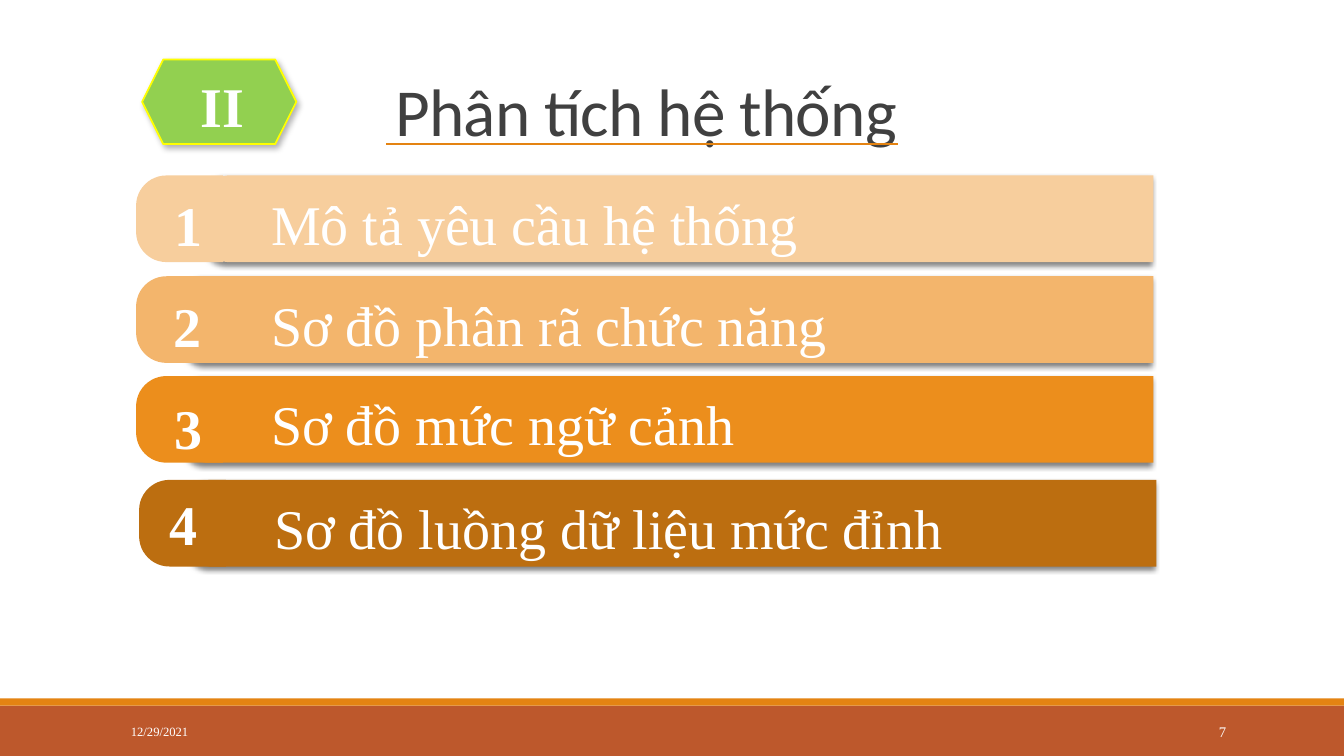
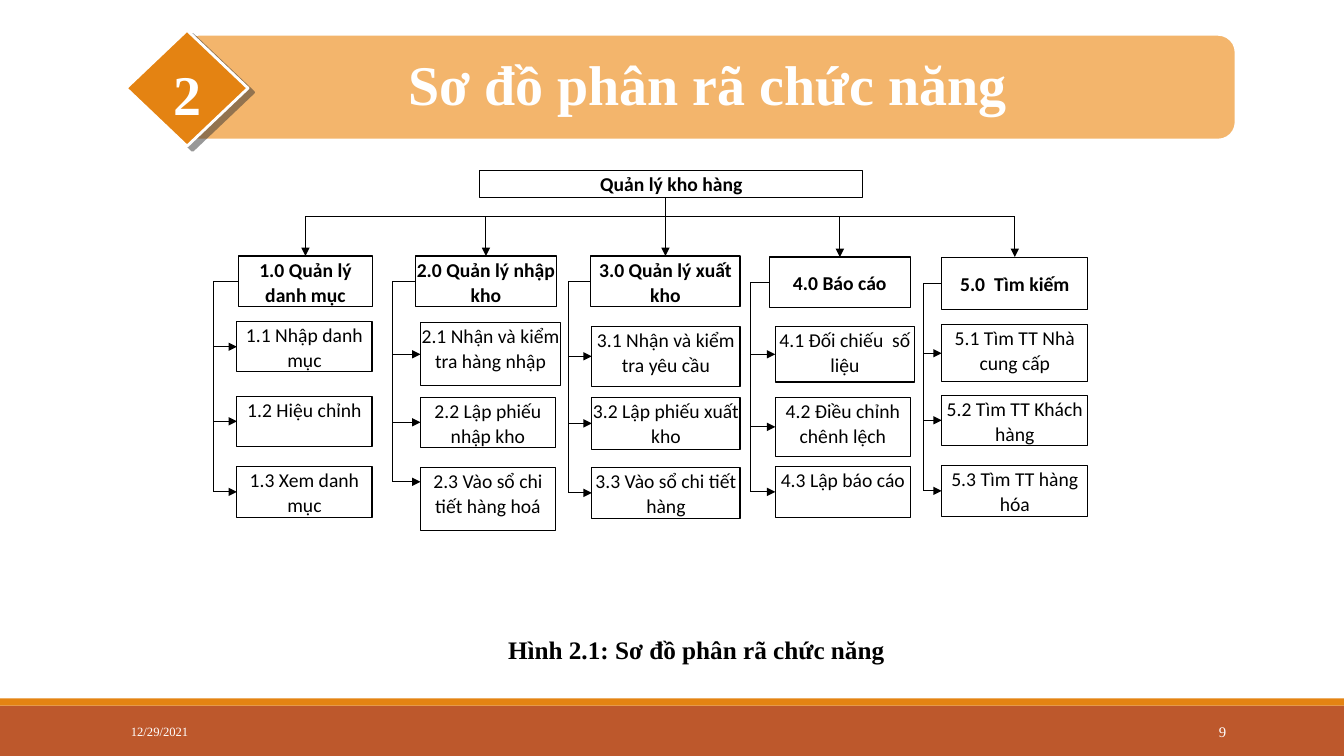
from dataclasses import dataclass

from lxml import etree
from pptx import Presentation
from pptx.dml.color import RGBColor
from pptx.enum.shapes import MSO_CONNECTOR, MSO_SHAPE
from pptx.enum.text import MSO_ANCHOR, MSO_AUTO_SIZE, PP_ALIGN
from pptx.oxml.ns import qn
from pptx.util import Inches, Pt

RECT, ROUND_RECT = MSO_SHAPE.RECTANGLE, MSO_SHAPE.ROUNDED_RECTANGLE
HEXAGON, DIAMOND = MSO_SHAPE.HEXAGON, MSO_SHAPE.DIAMOND
ROUND_TOP = MSO_SHAPE.ROUND_2_SAME_RECTANGLE
STRAIGHT = MSO_CONNECTOR.STRAIGHT
LEFT, CENTER, RIGHT = PP_ALIGN.LEFT, PP_ALIGN.CENTER, PP_ALIGN.RIGHT
TOP, MIDDLE, BOTTOM = MSO_ANCHOR.TOP, MSO_ANCHOR.MIDDLE, MSO_ANCHOR.BOTTOM
TOP_SIDE, LEFT_SIDE = 0, 1
TITLE_ONLY = 5


@dataclass(frozen=True)
class Theme:
    serif: str = "Times New Roman"
    sans: str = "Calibri"
    white: str = "FFFFFF"
    black: str = "000000"
    title: str = "404040"
    rust: str = "BD582C"
    orange: str = "E48312"
    green: str = "92D050"
    yellow: str = "FFFF00"
    tints: tuple = ("F7CE9D", "F3B56C", "EC8E1C", "BC6E10")
    title_size: float = 48
    heading_size: float = 40
    caption_size: float = 18
    node_size: float = 14
    page_size: float = 10.5
    date_size: float = 9


T = Theme()
HEADING = dict(size=T.heading_size, name=T.serif, color=T.white)
HEADING_BOLD = dict(HEADING, bold=True)
NODE = dict(size=T.node_size, name=T.sans, color=T.black)
# Shadow: colour, opacity %, blur pt, distance pt, direction in degrees
BAR_SHADOW = (T.black, 50, 4, 3, 135)
HEXAGON_SHADOW = (T.black, 30, 4.5, 2.6, 53)
DIAMOND_SHADOW = ("333333", 50, 0, 5, 37)


@dataclass
class Leaf:
    text: str
    top: float
    height: float = 0.5
    width: float = None
    arrow: float = None


@dataclass
class Branch:
    spine: float
    head: str
    head_box: tuple  # offset from the spine, top, width, height
    leaf_dx: float
    leaf_w: float
    leaves: list


# ---------- Shared helpers ----------
def write(tf, text, font, align=LEFT, anchor=TOP, spacing=None, margin=None, wrap=True):
    tf.word_wrap, tf.auto_size, tf.vertical_anchor = wrap, MSO_AUTO_SIZE.NONE, anchor
    if margin is not None:
        for side in ("left", "top", "right", "bottom"):
            setattr(tf, f"margin_{side}", Inches(margin))
    p = tf.paragraphs[0]
    p.alignment = align
    if spacing:
        p.line_spacing = spacing
    r = p.add_run()
    r.text = text
    for key, value in font.items():
        if key == "color":
            r.font.color.rgb = RGBColor.from_string(value)
        else:
            setattr(r.font, key, Pt(value) if key == "size" else value)
    return r


def add_text(s, box, text, font, **layout):
    sp = s.shapes.add_textbox(*map(Inches, box))
    write(sp.text_frame, text, font, **layout)


def add_shape(s, kind, box, fill, line=None, width=1, adjust=None, shadow=None):
    sp = s.shapes.add_shape(kind, *map(Inches, box))
    sp.fill.solid()
    sp.fill.fore_color.rgb = RGBColor.from_string(fill)
    if line:
        sp.line.color.rgb = RGBColor.from_string(line)
        sp.line.width = Pt(width)
    else:
        sp.line.fill.background()
    if adjust is not None:
        sp.adjustments[0] = adjust
    sp.shadow.inherit = False
    if shadow:
        color, opacity, blur, dist, angle = shadow
        effects = sp._element.spPr.find(qn("a:effectLst"))
        outer = etree.SubElement(effects, qn("a:outerShdw"), blurRad=str(Pt(blur)),
                                 dist=str(Pt(dist)), dir=str(angle * 60000),
                                 algn="ctr", rotWithShape="0")
        clr = etree.SubElement(outer, qn("a:srgbClr"), val=color)
        etree.SubElement(clr, qn("a:alpha"), val=str(opacity * 1000))
    return sp


def add_left_rounded(s, box, fill, adjust, shadow=None):
    """Bar with rounded left corners: an upright shape turned about its centre."""
    x, y, w, h = box
    upright = (x + (w - h) / 2, y + (h - w) / 2, h, w)
    sp = add_shape(s, ROUND_TOP, upright, fill, adjust=adjust, shadow=shadow)
    sp.rotation = 270


def add_line(s, start, end, color=T.black, width=0.75, arrow=False, glue=None):
    c = s.shapes.add_connector(STRAIGHT, *map(Inches, (*start, *end)))
    c.line.color.rgb = RGBColor.from_string(color)
    c.line.width = Pt(width)
    spPr = c._element.spPr
    if arrow:
        etree.SubElement(spPr.find(qn("a:ln")), qn("a:tailEnd"), type="triangle")
    etree.SubElement(spPr, qn("a:effectLst"))
    if glue:
        c.end_connect(*glue)


def set_title(s, box, text, font, **layout):
    sp = s.shapes.title
    sp.left, sp.top, sp.width, sp.height = map(Inches, box)
    s.shapes._spTree.append(sp._element)  # in front of any banner
    return write(sp.text_frame, text, font, **layout)


def new_slide(prs, page):
    s = prs.slides.add_slide(prs.slide_layouts[TITLE_ONLY])
    # Footer bands, date and page number
    add_shape(s, RECT, (0, 7, 13.33, 0.5), T.rust)
    add_shape(s, RECT, (0, 6.93, 13.33, 0.07), T.orange)
    footer = dict(name=T.serif, color=T.white)
    add_text(s, (1.2, 7.06, 2.7, 0.4), "12/29/2021",
             dict(footer, size=T.date_size), anchor=MIDDLE)
    add_text(s, (10.83, 7.06, 1.43, 0.4), page,
             dict(footer, size=T.page_size), align=RIGHT, anchor=MIDDLE)
    return s


# ---------- Agenda slide ----------
def agenda_row(s, x, y, bar_dx, number, number_at, text, fill):
    size, right = 0.86, 10.09
    add_left_rounded(s, (x + bar_dx, y, right - bar_dx, size), fill, 0.23, BAR_SHADOW)
    add_left_rounded(s, (x, y, size, size), fill, 0.35)
    add_text(s, (x + 1.24, y + 0.09, 8.65, 0.77), text, HEADING)
    dx, dy = number_at
    add_text(s, (x + dx, y + dy, 0.85, 0.77), number, HEADING_BOLD,
             align=CENTER, anchor=MIDDLE)


def agenda_slide(prs):
    s = new_slide(prs, "7")
    # Title with section badge and underline
    r = set_title(s, (3.82, 0.29, 9, 1.25), "Phân tích hệ thống",
                  dict(size=T.title_size, name=T.sans, color=T.title),
                  anchor=BOTTOM, spacing=0.85)
    r.font._element.set("spc", "-50")
    add_shape(s, HEXAGON, (1.41, 0.59, 1.53, 0.84), T.green, T.yellow, 1.25,
              shadow=HEXAGON_SHADOW)
    add_text(s, (1.78, 0.66, 0.85, 0.77), "II", HEADING_BOLD, align=CENTER, anchor=MIDDLE)
    # Agenda rows
    rows = [
        (1.35, 1.74, 0.71, (0.09, 0.1), "Mô tả yêu cầu hệ thống"),
        (1.35, 2.74, 0.5, (0.08, 0.1), "Sơ đồ phân rã chức năng"),
        (1.35, 3.73, 0.5, (0.09, 0.12), "Sơ đồ mức ngữ cảnh"),
        (1.38, 4.76, 0.5, (0.01, 0.04), "Sơ đồ luồng dữ liệu mức đỉnh"),
    ]
    for i, (x, y, bar_dx, number_at, text) in enumerate(rows):
        agenda_row(s, x, y, bar_dx, str(i + 1), number_at, text, T.tints[i])
    add_line(s, (3.83, 1.43), (8.91, 1.43), T.orange, 1.5)


# ---------- Function tree slide ----------
BRANCHES = [
    Branch(0, "1.0 Quản lý danh mục", (0.25, 0.85, 1.32, 0.5), 0.23, 1.34, [
        Leaf("1.1 Nhập danh mục", 1.5),
        Leaf("1.2 Hiệu chỉnh", 2.24),
        Leaf("1.3 Xem danh mục", 2.94)]),
    Branch(1.77, "2.0 Quản lý nhập kho", (0.23, 0.85, 1.4, 0.5), 0.28, 1.34, [
        Leaf("2.1 Nhận và kiểm tra hàng nhập", 1.51, 0.63, width=1.39),
        Leaf("2.2 Lập phiếu nhập kho", 2.25),
        Leaf("2.3 Vào sổ chi tiết hàng hoá", 2.95, 0.62, arrow=3.09)]),
    Branch(3.52, "3.0 Quản lý xuất kho", (0.22, 0.85, 1.48, 0.5), 0.23, 1.47, [
        Leaf("3.1 Nhận và kiểm tra yêu cầu", 1.55, 0.59),
        Leaf("3.2 Lập phiếu xuất kho", 2.25, 0.52),
        Leaf("3.3 Vào sổ chi tiết hàng", 2.95)]),
    Branch(5.32, "4.0 Báo cáo", (0.19, 0.86, 1.4, 0.5), 0.25, 1.34, [
        Leaf("4.1 Đối chiếu  số liệu", 1.55, 0.55, width=1.38),
        Leaf("4.2 Điều chỉnh chênh lệch", 2.25, 0.59),
        Leaf("4.3 Lập báo cáo", 2.94)]),
    Branch(7.04, "5.0  Tìm kiếm", (0.18, 0.86, 1.45, 0.52), 0.18, 1.45, [
        Leaf("5.1 Tìm TT Nhà cung cấp", 1.53, 0.57),
        Leaf("5.2 Tìm TT Khách hàng", 2.23),
        Leaf("5.3 Tìm TT hàng hóa", 2.93)]),
]


def tree_node(s, box, text, bold=False, anchor=TOP):
    sp = add_shape(s, RECT, box, T.white, T.black, 0.75)
    write(sp.text_frame, text, dict(NODE, bold=bold), align=CENTER, anchor=anchor,
          spacing=1.06, margin=0)
    return sp


def tree_branch(s, x, y, bus_y, branch):
    """Draw one column and return the centre of its head box."""
    spine = x + branch.spine
    dx, dy, w, h = branch.head_box
    head = tree_node(s, (spine + dx, y + dy, w, h), branch.head, True, MIDDLE)
    center, head_mid = spine + dx + w / 2, y + dy + h / 2
    add_line(s, (center, bus_y), (center, y + dy), arrow=True, glue=(head, TOP_SIDE))
    add_line(s, (spine, head_mid), (spine + dx, head_mid), glue=(head, LEFT_SIDE))
    for leaf in branch.leaves:
        left, top = spine + branch.leaf_dx, y + leaf.top
        node = tree_node(s, (left, top, leaf.width or branch.leaf_w, leaf.height), leaf.text)
        arrow_y = y + leaf.arrow if leaf.arrow else top + leaf.height / 2
        add_line(s, (spine, arrow_y), (left, arrow_y), arrow=True,
                 glue=None if leaf.arrow else (node, LEFT_SIDE))
    add_line(s, (spine, head_mid), (spine, arrow_y))
    return center


def function_tree(s, x, y):
    bus_y, stem_x, root_h = y + 0.46, x + 4.48, 0.27
    tree_node(s, (x + 2.64, y, 3.8, root_h), "Quản lý kho hàng", True)
    add_line(s, (stem_x, y + root_h), (stem_x, bus_y))
    centers = [tree_branch(s, x, y, bus_y, branch) for branch in BRANCHES]
    add_line(s, (centers[0], bus_y), (centers[-1], bus_y))


def tree_slide(prs):
    s = new_slide(prs, "9")
    # Banner with numbered diamond
    add_shape(s, ROUND_RECT, (1.79, 0.34, 10.47, 1.05), T.tints[1], T.white, 2, 0.17)
    add_shape(s, DIAMOND, (1.25, 0.3, 1.21, 1.15), T.orange, T.white, 2,
              shadow=DIAMOND_SHADOW)
    set_title(s, (2.19, 0.44, 9.65, 0.77), "Sơ đồ phân rã chức năng", HEADING_BOLD,
              align=CENTER)
    add_text(s, (1.62, 0.54, 0.48, 0.77), "2", HEADING_BOLD, align=CENTER, wrap=False)
    # Diagram and caption
    function_tree(s, 2.12, 1.69)
    add_text(s, (4.94, 6.24, 5.75, 0.4), "Hình 2.1: Sơ đồ phân rã chức năng",
             dict(size=T.caption_size, name=T.serif, color=T.black, bold=True))


def main():
    prs = Presentation()
    prs.slide_width, prs.slide_height = Inches(13.33), Inches(7.5)
    agenda_slide(prs)
    tree_slide(prs)
    prs.save("out.pptx")


if __name__ == "__main__":
    main()
